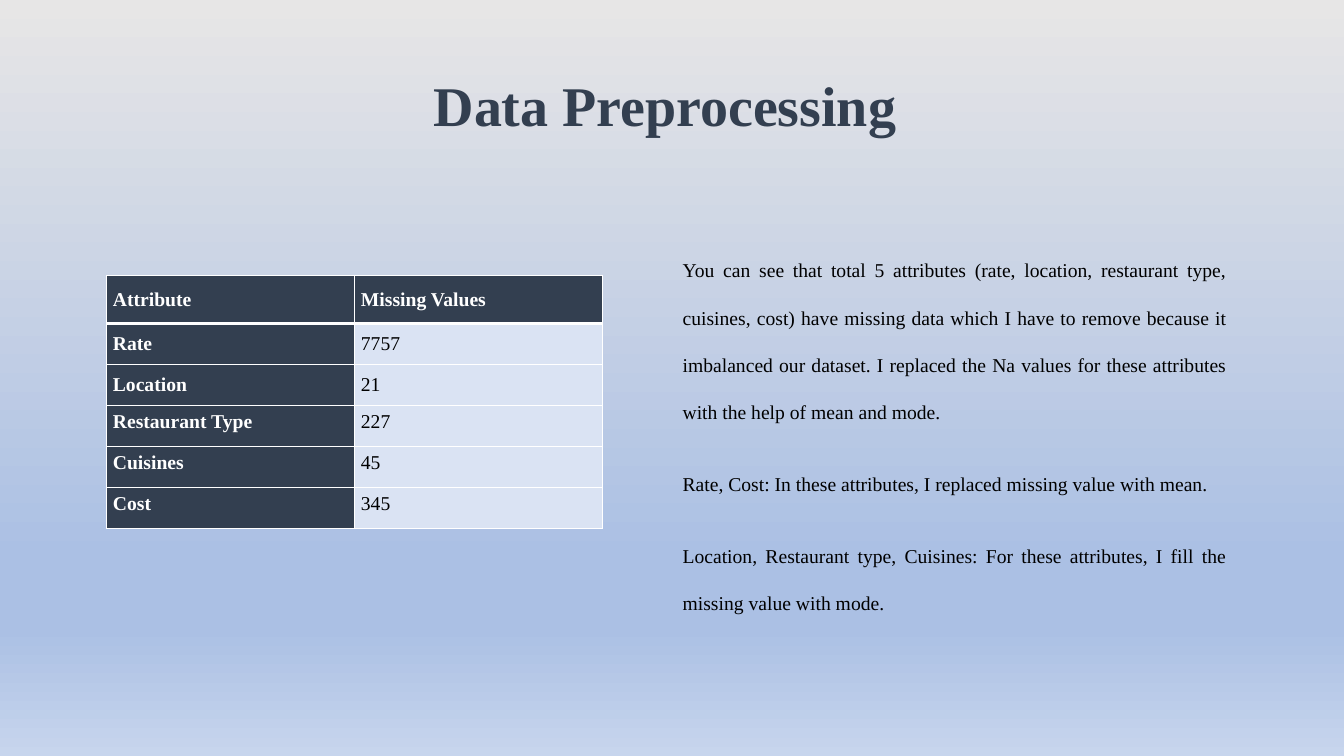
import pptx
import pptx.util
import pptx.dml.color
import pptx.enum.text
import pptx.oxml
import pptx.oxml.ns

Inches, Pt = pptx.util.Inches, pptx.util.Pt
RGBColor = pptx.dml.color.RGBColor
Align, Anchor = pptx.enum.text.PP_ALIGN, pptx.enum.text.MSO_ANCHOR

FONT = "Times New Roman"
NAVY = RGBColor(0x33, 0x3F, 0x50)
PALE = RGBColor(0xDA, 0xE3, 0xF3)
WHITE = RGBColor(0xFF, 0xFF, 0xFF)
BLACK = RGBColor(0, 0, 0)
GREY = RGBColor(0xE7, 0xE6, 0xE6)
BLUE = RGBColor(0xAB, 0xC0, 0xE4)
MIST = RGBColor(0xC7, 0xD5, 0xED)
SKY = [(0, GREY), (74, BLUE), (83, BLUE), (100, MIST)]

ROWS = [
    ("Attribute", "Missing Values"),
    ("Rate", "7757"),
    ("Location", "21"),
    ("Restaurant Type", "227"),
    ("Cuisines", "45"),
    ("Cost", "345"),
]
NOTES = [
    "You can see that total 5 attributes (rate, location, restaurant type, "
    "cuisines, cost) have missing data which I have to remove because it "
    "imbalanced our dataset. I replaced the Na values for these attributes "
    "with the help of mean and mode.",
    "Rate, Cost: In these attributes, I replaced missing value with mean.",
    "Location, Restaurant type, Cuisines: For these attributes, I fill the "
    "missing value with mode. ",
]


def node(xml):
    """Parse one element of the drawing namespace."""
    head, tail = xml.split(">", 1)
    space = pptx.oxml.ns.nsdecls("a")
    return pptx.oxml.parse_xml(f"{head} {space}>{tail}")


def style(part, size, color, bold=False):
    for run in part.runs:
        font = run.font
        font.name, font.size, font.bold = FONT, Pt(size), bold
        font.color.rgb = color


def place(shape, box):
    shape.left, shape.top, shape.width, shape.height = map(Inches, box)


def paint(slide):
    """Fill the background with the vertical gradient."""
    fill = slide.background.fill
    fill.gradient()
    fill.gradient_angle = 270
    stops = "".join(
        f'<a:gs pos="{pos * 1000}"><a:srgbClr val="{color}"/></a:gs>'
        for pos, color in SKY)
    grad = slide.background._cSld.find(".//" + pptx.oxml.ns.qn("a:gradFill"))
    old = grad.find(pptx.oxml.ns.qn("a:gsLst"))
    grad.replace(old, node(f"<a:gsLst>{stops}</a:gsLst>"))


def head(shape, box):
    place(shape, box)
    frame = shape.text_frame
    frame.text = "Data Preprocessing"
    frame.vertical_anchor = Anchor.BOTTOM
    frame.margin_bottom = Inches(0.71)
    part = frame.paragraphs[0]
    part.alignment, part.line_spacing = Align.CENTER, 0.9
    style(part, 40, NAVY, True)


def edge(cell, row):
    """Draw white borders, with a heavy rule under the first row."""
    props = cell._tc.get_or_add_tcPr()
    wide = {"B": row == 0, "T": row == 1}
    for at, side in enumerate("LRTB"):
        width = Pt(3 if wide.get(side) else 1)
        props.insert(at, node(
            f'<a:ln{side} w="{width}"><a:solidFill><a:srgbClr val="{WHITE}"/>'
            f"</a:solidFill></a:ln{side}>"))


def grid(slide, box):
    left, top, width, height = map(Inches, box)
    table = slide.shapes.add_table(
        len(ROWS), 2, left, top, width, height).table
    first = Inches(0.48)
    for row in table.rows:
        row.height = (height - first) // (len(ROWS) - 1)
    table.rows[0].height = first
    for r, row in enumerate(ROWS):
        for c, text in enumerate(row):
            cell = table.cell(r, c)
            dark = r == 0 or c == 0
            cell.text = text
            cell.margin_left = cell.margin_right = Inches(0.06)
            cell.margin_top = cell.margin_bottom = Inches(0.06)
            cell.vertical_anchor = Anchor.MIDDLE if r < 3 else Anchor.TOP
            cell.fill.solid()
            cell.fill.fore_color.rgb = NAVY if dark else PALE
            style(cell.text_frame.paragraphs[0], 14,
                  WHITE if dark else BLACK, dark)
            edge(cell, r)


def notes(shape, box):
    place(shape, box)
    frame = shape.text_frame
    frame.text = "\n".join(NOTES)
    frame.margin_top = Inches(0.53)
    for part in frame.paragraphs:
        part.alignment, part.line_spacing = Align.JUSTIFY, 2.0
        part.space_before, part.space_after = Pt(10), Pt(8)
        props = part._p.get_or_add_pPr()
        props.set("marL", "0")
        props.set("indent", "0")
        props.append(node("<a:buNone></a:buNone>"))
        style(part, 14, BLACK)


def main():
    deck = pptx.Presentation()
    deck.slide_width, deck.slide_height = Inches(13.33), Inches(7.5)
    slide = deck.slides.add_slide(deck.slide_layouts[1])
    paint(slide)
    head(slide.shapes.title, (0.92, 0.56, 11.35, 1.53))
    grid(slide, (1.06, 2.73, 4.92, 2.51))
    notes(slide.placeholders[1], (6.67, 1.8, 5.6, 4.93))
    deck.save("out.pptx")


if __name__ == "__main__":
    main()
